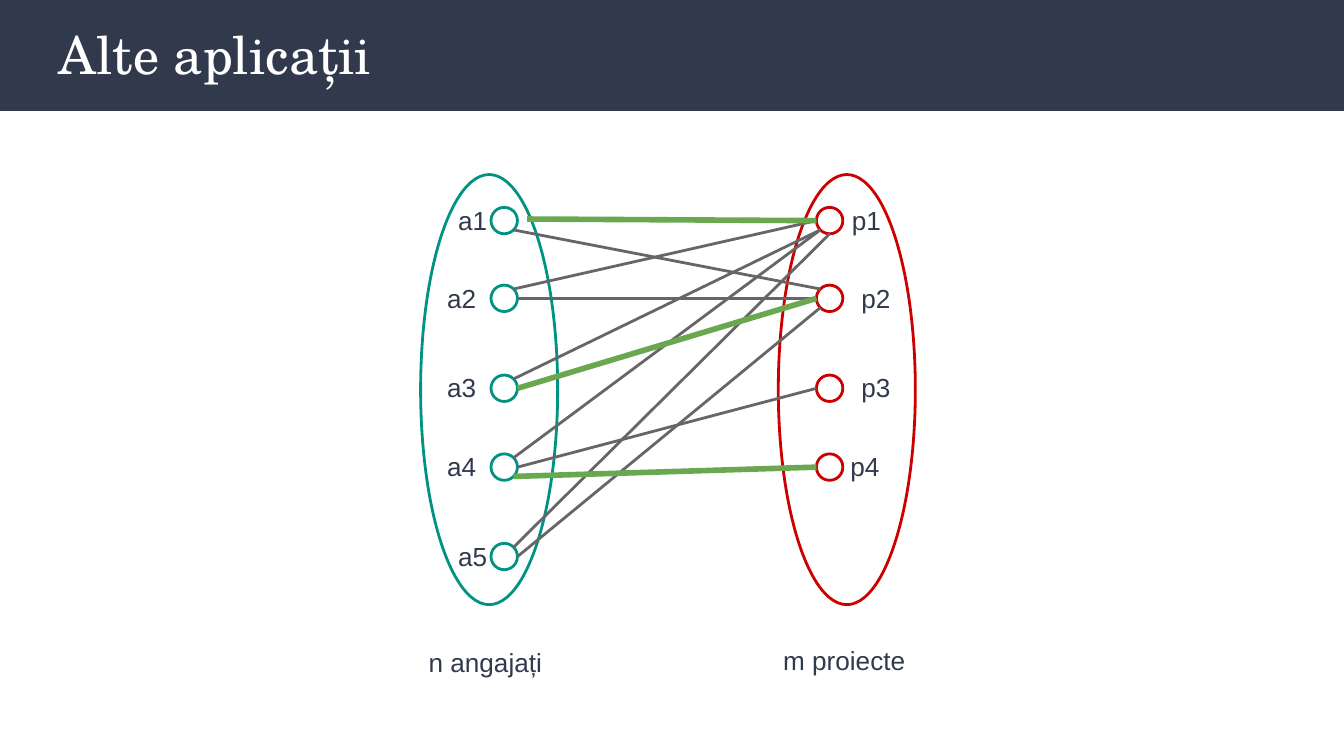
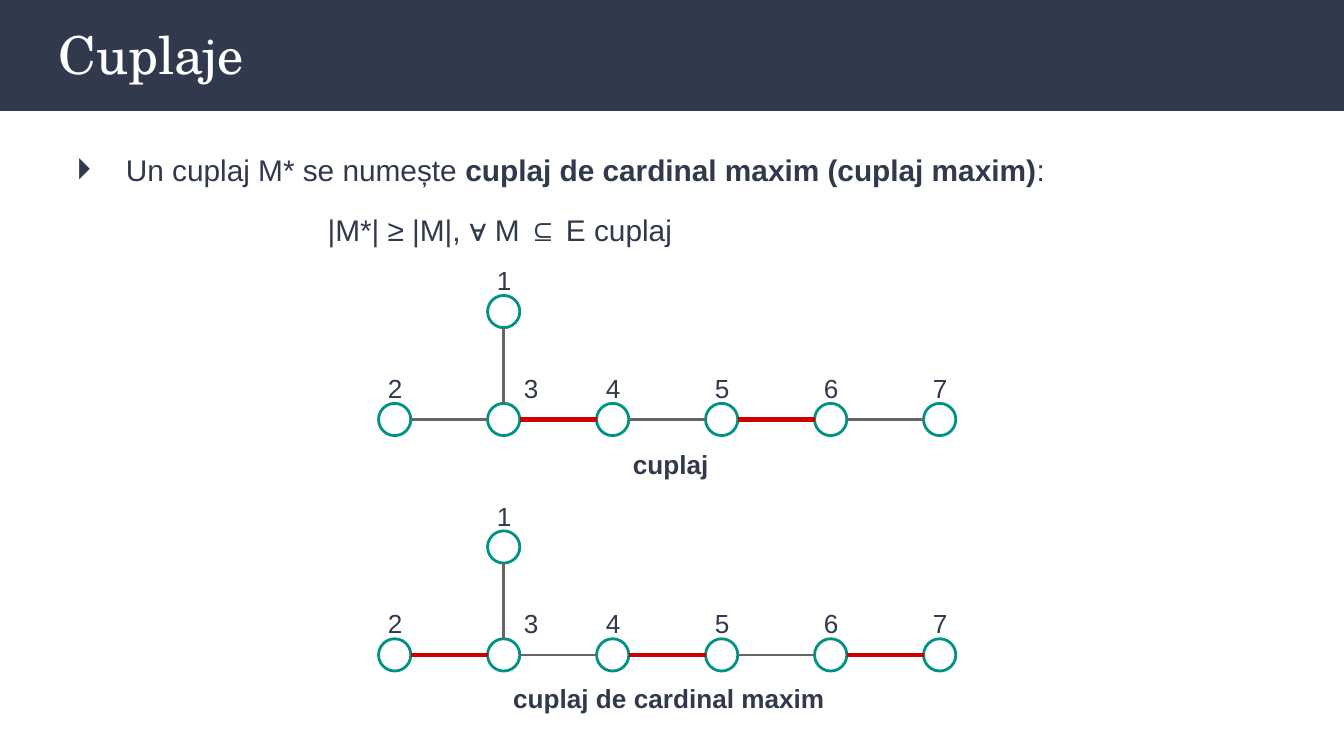
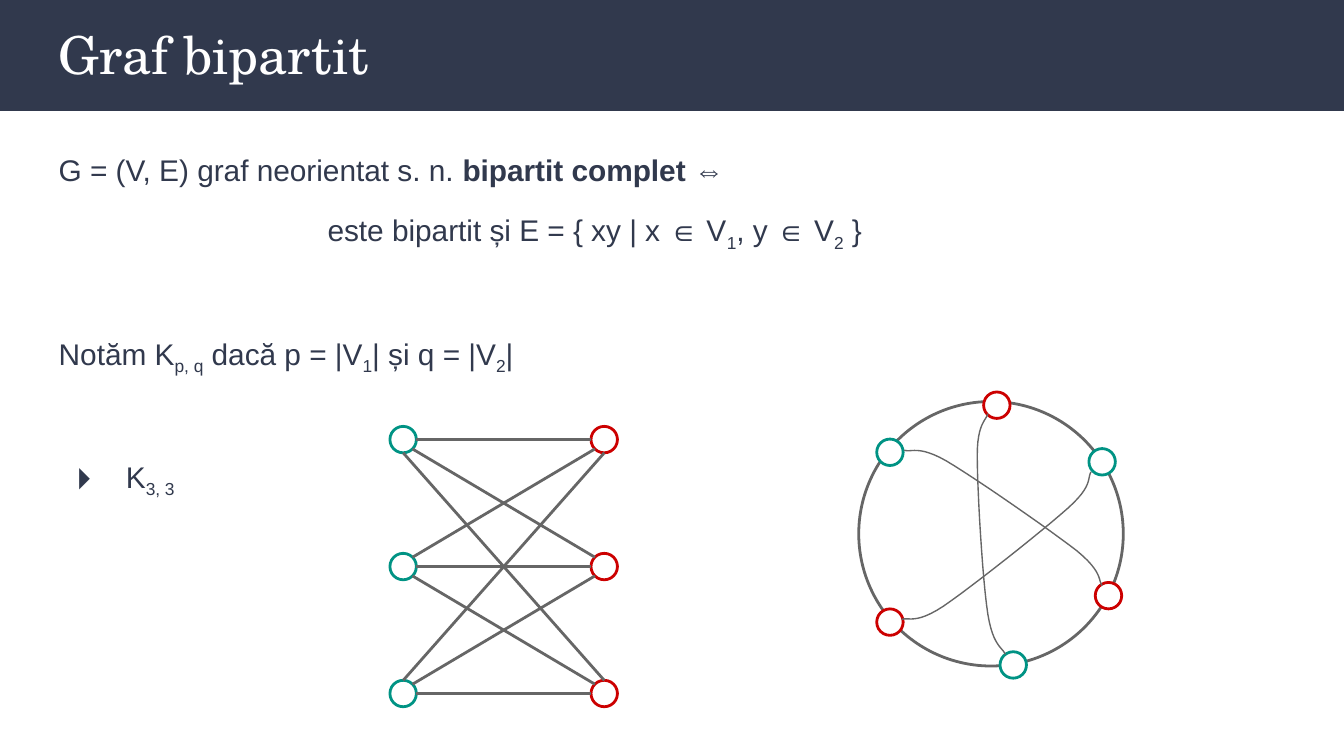
from itertools import product
from math import sqrt

from lxml.etree import SubElement
from pptx import Presentation
from pptx.dml.color import RGBColor
from pptx.enum.shapes import MSO_CONNECTOR, MSO_SHAPE
from pptx.enum.text import MSO_ANCHOR, MSO_AUTO_SIZE, PP_ALIGN
from pptx.oxml.ns import qn
from pptx.util import Cm, Pt

COLORS = {"navy": "31394D", "white": "FFFFFF", "teal": "009384",
          "red": "CC0000", "gray": "666666", "green": "6AA84F"}
DIAGONAL = 1 / sqrt(2)
COMPASS = {"N": (0, -1), "S": (0, 1), "W": (-1, 0), "E": (1, 0),
           "NW": (-DIAGONAL, -DIAGONAL), "NE": (DIAGONAL, -DIAGONAL),
           "SW": (-DIAGONAL, DIAGONAL), "SE": (DIAGONAL, DIAGONAL)}
TITLE_ONLY, TITLE_AND_BODY = 5, 1
LABEL_HEIGHT = 1.12


def color(name):
    """Return the named palette colour."""
    return RGBColor.from_string(COLORS[name])


def rim(center, side, diameter=0.5):
    """Return the point on a node's outline in a compass direction."""
    dx, dy = COMPASS[side]
    return center[0] + dx * diameter / 2, center[1] + dy * diameter / 2


def bezier(start, segments, steps=12):
    """Return points along a chain of cubic curves."""
    points = [start]
    for c1, c2, end in segments:
        origin = points[-1]
        for step in range(1, steps + 1):
            t = step / steps
            weights = ((1 - t) ** 3, 3 * t * (1 - t) ** 2, 3 * t * t * (1 - t), t ** 3)
            points.append(tuple(sum(w * p[axis] for w, p in zip(weights, (origin, c1, c2, end)))
                                for axis in (0, 1)))
    return points


class Deck:
    """Holds the shared style and the current slide."""

    def __init__(self):
        """Start a widescreen presentation."""
        self.prs = Presentation()
        self.prs.slide_width, self.prs.slide_height = Cm(25.4), Cm(14.29)

    def new_slide(self, title, layout=TITLE_ONLY):
        """Add a slide with its title."""
        self.slide = self.prs.slides.add_slide(self.prs.slide_layouts[layout])
        if len(self.prs.slides) == 1:
            self.master_band()
        heading = self.slide.shapes.title
        self.place(heading, 0.86, 0.15, 23.67, 1.73)
        frame = self.frame(heading, MSO_ANCHOR.MIDDLE)
        frame.text = title
        frame.paragraphs[0].alignment = PP_ALIGN.LEFT
        self.font(frame.paragraphs[0], 28, "white", "TeX Gyre Schola")

    def master_band(self):
        """Put the title band behind everything on the slide master."""
        band = self.slide.shapes.add_shape(MSO_SHAPE.RECTANGLE, 0, 0, Cm(25.4), Cm(2.1))
        band.shadow.inherit = False
        band.fill.solid()
        band.fill.fore_color.rgb = color("navy")
        band.line.fill.background()
        band._element.nvSpPr.cNvPr.set("id", "20")
        self.prs.slide_master.shapes._spTree.insert(2, band._element)

    def place(self, shape, left, top, width, height):
        """Move and size a shape."""
        shape.left, shape.top = Cm(left), Cm(top)
        shape.width, shape.height = Cm(width), Cm(height)

    def frame(self, shape, anchor=MSO_ANCHOR.TOP, auto_size=MSO_AUTO_SIZE.NONE):
        """Return a shape's text frame with the shared insets."""
        frame = shape.text_frame
        frame.word_wrap = True
        frame.auto_size = auto_size
        frame.vertical_anchor = anchor
        frame.margin_left = frame.margin_right = Cm(0.25)
        frame.margin_top = frame.margin_bottom = Cm(0.25)
        return frame

    def font(self, paragraph, size, name="navy", face="Arial", bold=None):
        """Set the font of a whole paragraph."""
        font = paragraph.font
        font.size, font.name, font.bold = Pt(size), face, bold
        font.color.rgb = color(name)

    def body(self, items):
        """Fill the body placeholder from (runs, bullet, indent, before, after) rows."""
        body = self.slide.placeholders[1]
        self.place(body, 0.86, 2.51, 23.67, 10.44)
        frame = self.frame(body)
        for index, (runs, bullet, indent, before, after) in enumerate(items):
            paragraph = frame.add_paragraph() if index else frame.paragraphs[0]
            paragraph.line_spacing = 1.15
            paragraph.space_before, paragraph.space_after = Pt(before), Pt(after)
            self.bullet(paragraph, bullet, indent)
            self.font(paragraph, 16)
            for text, kind in runs:
                run = paragraph.add_run()
                run.text = text
                if kind == "bold":
                    run.font.bold = True
                elif kind == "sub":
                    run._r.get_or_add_rPr().set("baseline", "-25000")

    def bullet(self, paragraph, bullet, indent):
        """Set a paragraph's bullet and left indent."""
        properties = paragraph._p.get_or_add_pPr()
        properties.set("marL", str(Cm(1.27 if bullet else indent)))
        properties.set("indent", str(Cm(-0.94 if bullet else 0)))
        if bullet:
            tint = SubElement(properties, qn("a:buClr"))
            SubElement(tint, qn("a:srgbClr")).set("val", COLORS["navy"])
            SubElement(properties, qn("a:buFont")).set("typeface", "Arial")
            SubElement(properties, qn("a:buChar")).set("char", "⏵")
        else:
            SubElement(properties, qn("a:buNone"))

    def label(self, text, left, top, width, bold=None):
        """Add a one-line label."""
        box = self.slide.shapes.add_textbox(Cm(left), Cm(top), Cm(width), Cm(LABEL_HEIGHT))
        frame = self.frame(box, auto_size=MSO_AUTO_SIZE.SHAPE_TO_FIT_TEXT)
        frame.text = text
        self.font(frame.paragraphs[0], 14, bold=bold)

    def outline(self, shape, name, width=1.5, fill=None):
        """Give a shape its line and optional fill."""
        shape.shadow.inherit = False
        if fill:
            shape.fill.solid()
            shape.fill.fore_color.rgb = color(fill)
        else:
            shape.fill.background()
        shape.line.color.rgb = color(name)
        shape.line.width = Pt(width)

    def oval(self, left, top, width, height, name, fill=None):
        """Add an outlined ellipse."""
        oval = self.slide.shapes.add_shape(MSO_SHAPE.OVAL, Cm(left), Cm(top),
                                           Cm(width), Cm(height))
        self.outline(oval, name, fill=fill)

    def node(self, center, name, diameter=0.5, fill=None):
        """Add a graph node around its centre."""
        x, y = center
        self.oval(x - diameter / 2, y - diameter / 2, diameter, diameter, name, fill)

    def edge(self, start, end, name="gray", width=1.5):
        """Add a straight graph edge."""
        ends = [Cm(value) for value in (*start, *end)]
        edge = self.slide.shapes.add_connector(MSO_CONNECTOR.STRAIGHT, *ends)
        edge.line.color.rgb = color(name)
        edge.line.width = Pt(width)
        SubElement(edge._element.spPr, qn("a:effectLst"))

    def curve(self, start, segments):
        """Add a thin curved graph edge."""
        points = [(Cm(x), Cm(y)) for x, y in bezier(start, segments)]
        builder = self.slide.shapes.build_freeform(*points[0])
        builder.add_line_segments(points[1:], close=False)
        self.outline(builder.convert_to_shape(), "gray", 0.75)


def applications(deck):
    """Build the employees and projects slide."""
    deck.new_slide("Alte aplicații")
    rows = (4.17, 5.64, 7.34, 8.83, 10.52)
    employee_labels = (8.41, 8.2, 8.2, 8.2, 8.41)
    project_labels = (15.85, 16.03, 16.03, 15.82)
    sides = (("a", "teal", 7.95, 9.53, employee_labels),
             ("p", "red", 14.71, 15.68, project_labels))
    centers = {}
    for letter, tint, set_left, x, label_lefts in sides:
        deck.oval(set_left, 3.3, 2.59, 8.13, tint)
        for number, (left, y) in enumerate(zip(label_lefts, rows), 1):
            key = f"{letter}{number}"
            centers[key] = (x, y)
            deck.node(centers[key], tint)
            deck.label(key, left, y - LABEL_HEIGHT / 2, LABEL_HEIGHT)
    deck.label("n angajați", 7.85, 11.96, 2.74)
    deck.label("m proiecte", 14.55, 11.94, 2.92)

    possible = (("a1", "SE", "p2", "NW"), ("a2", "NE", "p1", "W"), ("a2", "E", "p2", "W"),
                ("a3", "NE", "p1", "SW"), ("a4", "NE", "p1", "SW"), ("a4", "E", "p3", "W"),
                ("a5", "NE", "p1", "S"), ("a5", "E", "p2", "SW"))
    assigned = (("a3", "E", "p2", "W"), ("a4", "SE", "p4", "W"))
    for edges, tint, width in ((possible, "gray", 1.5), (assigned, "green", 3)):
        for employee, leave, project, arrive in edges:
            deck.edge(rim(centers[employee], leave), rim(centers[project], arrive), tint, width)
    deck.edge((9.96, 4.14), rim(centers["p1"], "W"), "green", 3)


def matching_graph(deck, base, matched):
    """Draw the seven-node graph with its matched edges in red."""
    size = 0.61
    centers = {number: (7.46 + 2.06 * (number - 2), base) for number in range(2, 8)}
    centers[1] = (centers[3][0], base - 2.04)
    for number, (x, y) in centers.items():
        deck.node((x, y), "teal", size)
        deck.label(str(number), x + (0.13 if number == 3 else -0.38), y - 1.14, 0.94)
    deck.edge(rim(centers[3], "N", size), rim(centers[1], "S", size))
    for number in range(2, 7):
        style = ("red", 2.25) if number in matched else ("gray", 1.5)
        deck.edge(rim(centers[number], "E", size), rim(centers[number + 1], "W", size), *style)


def matchings(deck):
    """Build the maximum matching slide."""
    deck.new_slide("Cuplaje", TITLE_AND_BODY)
    definition = [("Un cuplaj M* se numește ", ""),
                  ("cuplaj de cardinal maxim (cuplaj maxim)", "bold"), (":", "")]
    deck.body([(definition, True, 0, 0, 0),
               ([("|M*| ≥ |M|, ∀ M ⊆ E cuplaj", "")], False, 5.08, 10, 10)])
    matching_graph(deck, 7.93, (3, 5))
    deck.label("cuplaj", 11.71, 8.23, 2.01, True)
    matching_graph(deck, 12.38, (2, 4, 6))
    deck.label("cuplaj de cardinal maxim", 9.45, 12.65, 6.5, True)


def bipartite(deck):
    """Build the complete bipartite graph slide."""
    deck.new_slide("Graf bipartit", TITLE_AND_BODY)
    definition = [("G = (V, E) graf neorientat s. n. ", ""), ("bipartit complet", "bold"),
                  (" ⇔", "")]
    condition = [("este bipartit și E = { xy | x ∈ V", ""), ("1", "sub"), (", y ∈ V", ""),
                 ("2", "sub"), (" }", "")]
    notation = [("Notăm K", ""), ("p, q", "sub"), (" dacă p = |V", ""), ("1", "sub"),
                ("| și q = |V", ""), ("2", "sub"), ("|", "")]
    example = [("K", ""), ("3, 3", "sub")]
    deck.body([(definition, False, 0, 0, 0), (condition, False, 5.08, 10, 0),
               (notation, False, 0, 41, 0), (example, True, 0, 41, 0)])

    rows = [8.31 + 2.4 * row for row in range(3)]
    left, right = ([(x, y) for y in rows] for x in (7.62, 11.42))
    for part, tint in ((left, "teal"), (right, "red")):
        for center in part:
            deck.node(center, tint)
    ports = {0: ("E", "W"), 1: ("SE", "NW"), 2: ("S", "N"), -1: ("NE", "SW"), -2: ("N", "S")}
    for i, j in product(range(3), repeat=2):
        leave, arrive = ports[j - i]
        deck.edge(rim(left[i], leave), rim(right[j], arrive))

    deck.oval(16.23, 7.59, 5, 5, "gray")
    ring = {"teal": ((16.82, 8.55), (19.15, 12.57), (20.83, 8.73)),
            "red": ((18.84, 7.66), (20.95, 11.26), (16.82, 11.76))}
    for tint, centers in ring.items():
        for center in centers:
            deck.node(center, tint, fill="white")
    chords = (
        ((17.09, 8.51), (((17.22, 8.56), (17.35, 8.41), (17.88, 8.71)),
                         ((18.44, 9.04), (19.86, 10.03), (20.35, 10.41)),
                         ((20.85, 10.82), (20.75, 10.97), (20.83, 11.07)))),
        ((19, 12.37), (((18.95, 12.24), (18.77, 12.22), (18.67, 11.61)),
                       ((18.57, 10.97), (18.47, 9.25), (18.47, 8.61)),
                       ((18.47, 8), (18.64, 7.95), (18.67, 7.82)))),
        ((20.62, 8.92), (((20.55, 9.04), (20.65, 9.19), (20.19, 9.6)),
                         ((19.71, 10.03), (18.36, 11.1), (17.83, 11.46)),
                         ((17.3, 11.81), (17.17, 11.66), (17.04, 11.71)))))
    for start, segments in chords:
        deck.curve(start, segments)


def main():
    """Build and save the presentation."""
    deck = Deck()
    applications(deck)
    matchings(deck)
    bipartite(deck)
    deck.prs.save("out.pptx")


if __name__ == "__main__":
    main()
